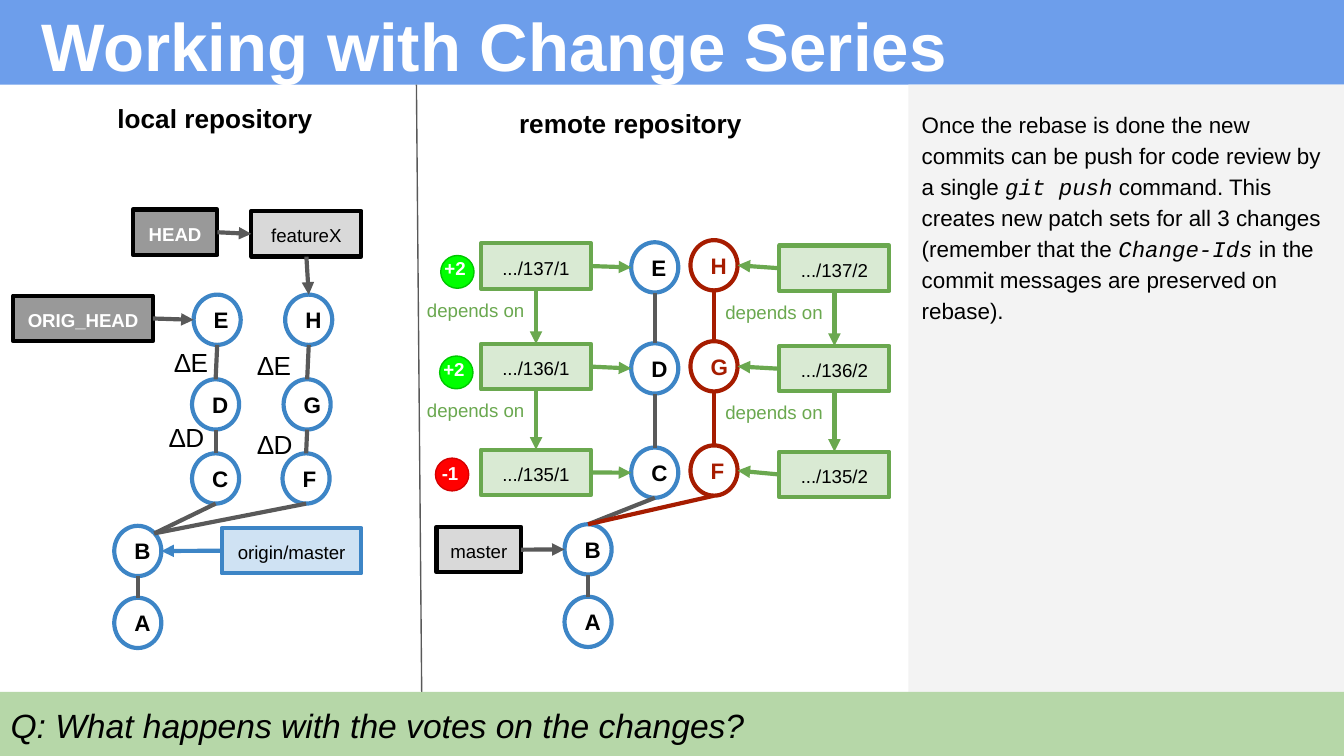
from dataclasses import dataclass

from lxml import etree
from pptx import Presentation
from pptx.dml.color import RGBColor
from pptx.enum import shapes, text
from pptx.oxml.ns import qn
from pptx.util import Cm, Pt


@dataclass(frozen=True)
class Theme:
    font: str = "Arial"
    mono: str = "Courier New"
    white: str = "FFFFFF"
    ink: str = "000000"
    banner: str = "6D9EEB"
    panel: str = "F3F3F3"
    footer: str = "B6D7A8"
    edge: str = "595959"
    blue: str = "3D85C6"
    pale_blue: str = "CFE2F3"
    red: str = "A61C00"
    green: str = "6AA84F"
    pale_green: str = "D9EAD3"
    dark_grey: str = "999999"
    pale_grey: str = "D9D9D9"
    plus: str = "00FF00"
    plus_line: str = "00C700"
    minus: str = "FF0000"
    minus_line: str = "D50000"
    title: float = 36
    question: float = 18
    heading: float = 14
    body: float = 12
    label: float = 10
    stroke: float = 2.25
    thin: float = 0.75


t = Theme()
RECT, OVAL = shapes.MSO_SHAPE.RECTANGLE, shapes.MSO_SHAPE.OVAL
LEFT, CENTER = text.PP_ALIGN.LEFT, text.PP_ALIGN.CENTER
TOP, W, BOTTOM, E = range(4)
NE = 4  # upper right of a circle
SPOTS = [(0.5, 0), (0, 0.5), (0.5, 1), (1, 0.5), (0.85, 0.15)]


def box(parent, kind, at, words="", size=t.label, color=t.ink, bold=False, italic=False,
        align=CENTER, anchor=text.MSO_ANCHOR.TOP, fill=None, line=None, width=t.stroke):
    """Add a preset shape, or a text box when kind is None; at is in centimetres."""
    at = [Cm(v) for v in at]
    if kind is None:
        sp = parent.add_textbox(*at)
    else:
        sp = parent.add_shape(kind, *at)
        sp.shadow.inherit = False
        if fill:
            sp.fill.solid()
            sp.fill.fore_color.rgb = RGBColor.from_string(fill)
        else:
            sp.fill.background()
        if line:
            sp.line.color.rgb = RGBColor.from_string(line)
            sp.line.width = Pt(width)
        else:
            sp.line.fill.background()
    tf = sp.text_frame
    tf.word_wrap = True
    tf.vertical_anchor = anchor
    tf.margin_left = tf.margin_right = tf.margin_top = tf.margin_bottom = Cm(0.25)
    if words:
        p = tf.paragraphs[0]
        p.text = words
        p.alignment = align
        f = p.runs[0].font
        f.name, f.size, f.bold, f.italic = t.font, Pt(size), bold, italic
        f.color.rgb = RGBColor.from_string(color)
    return sp


def link(start, end, color=t.edge, arrow=False, width=t.stroke):
    """Draw a line; each end is (shape, spot) or an (x, y) pair of lengths."""
    points = []
    for a, b in (start, end):
        if hasattr(a, "left"):
            fx, fy = SPOTS[b]
            a, b = int(a.left + fx * a.width), int(a.top + fy * a.height)
        points += [a, b]
    c = s.shapes.add_connector(shapes.MSO_CONNECTOR.STRAIGHT, *points)
    for (a, b), join in ((start, c.begin_connect), (end, c.end_connect)):
        if hasattr(a, "left") and a.auto_shape_type == RECT:
            join(a, b)
    c.line.color.rgb = RGBColor.from_string(color)
    c.line.width = Pt(width)
    if arrow:
        etree.SubElement(c.line._get_or_add_ln(), qn("a:tailEnd"), type="triangle")
    etree.SubElement(c.element.spPr, qn("a:effectLst"))


prs = Presentation()
prs.slide_width, prs.slide_height = Cm(25.4), Cm(14.29)
s = prs.slides.add_slide(prs.slide_layouts[5])

# Banner, title and side panel
box(s.shapes, RECT, (0, 0, 25.4, 1.6), fill=t.banner)
title = s.shapes.title
s.shapes.element.append(title.element)  # bring the title in front of the banner
title.left, title.top, title.width, title.height = Cm(0.53), Cm(-0.25), Cm(20.98), Cm(2.11)
tf = title.text_frame
tf.text = "Working with Change Series"
tf.auto_size = text.MSO_AUTO_SIZE.NONE
tf.vertical_anchor = text.MSO_ANCHOR.BOTTOM
tf.margin_left = tf.margin_right = tf.margin_top = tf.margin_bottom = Cm(0.25)
p = tf.paragraphs[0]
p.alignment = LEFT
f = p.runs[0].font
f.name, f.size, f.bold = t.font, Pt(t.title), True
f.color.rgb = RGBColor.from_string(t.white)
box(s.shapes, RECT, (17.17, 1.6, 8.23, 12.7), fill=t.panel)

# Headings and divider
for words, left, top in (("local repository", 1.45, 1.68), ("remote repository", 9.3, 1.78)):
    box(s.shapes, None, (left, top, 5.23, 1.27), words, t.heading, bold=True)
link((Cm(7.87), Cm(1.6)), (Cm(7.98), Cm(14.29)), width=t.thin)

# Commits: key, left, top, colour; the letter ends the key
commits = {}
for key, left, top, line in (
        ("local A", 2.16, 11.3, t.blue), ("local B", 2.16, 9.94, t.blue),
        ("local C", 3.63, 8.57, t.blue), ("local D", 3.63, 7.17, t.blue),
        ("local E", 3.66, 5.57, t.blue), ("local F", 5.34, 8.57, t.blue),
        ("local G", 5.36, 7.17, t.blue), ("local H", 5.39, 5.57, t.blue),
        ("remote A", 10.67, 11.28, t.blue), ("remote B", 10.67, 9.91, t.blue),
        ("remote C", 11.93, 8.46, t.blue), ("remote D", 11.93, 6.49, t.blue),
        ("remote E", 11.93, 4.58, t.blue), ("remote F", 13.05, 8.42, t.red),
        ("remote G", 13.05, 6.45, t.red), ("remote H", 13.05, 4.54, t.red)):
    commits[key] = box(s.shapes, OVAL, (left, top, 0.89, 0.95), key[-1], t.body,
                       t.red if line == t.red else t.ink, True,
                       anchor=text.MSO_ANCHOR.MIDDLE, line=line)

for repo, fork, new_color in (("local", NE, t.edge), ("remote", TOP, t.red)):
    for parent, child in ("AB", "BC", "CD", "DE", "BF", "FG", "GH"):
        color = new_color if child in "FGH" else t.edge
        spot = fork if parent == "B" else TOP
        link((commits[f"{repo} {parent}"], spot), (commits[f"{repo} {child}"], BOTTOM), color)

for words, left, top in (("∆D", 4.62, 7.85), ("∆E", 4.62, 6.35),
                         ("∆D", 2.95, 7.72), ("∆E", 3.05, 6.3)):
    box(s.shapes, None, (left, top, 1.37, 0.97), words, t.heading, align=LEFT)

# References
refs = {}
for name, left, top, width, fill, line in (
        ("ORIG_HEAD", 0.25, 5.59, 2.64, t.dark_grey, t.ink),
        ("HEAD", 2.51, 3.96, 1.6, t.dark_grey, t.ink),
        ("featureX", 4.75, 3.99, 2.08, t.pale_grey, t.ink),
        ("origin/master", 4.19, 9.98, 2.64, t.pale_blue, t.blue),
        ("master", 8.25, 9.96, 1.6, t.pale_grey, t.ink)):
    head = fill == t.dark_grey
    refs[name] = box(s.shapes, RECT, (left, top, width, 0.86), name,
                     color=t.white if head else t.ink, bold=head, fill=fill, line=line)
link((refs["ORIG_HEAD"], E), (commits["local E"], W), arrow=True)
link((refs["HEAD"], E), (refs["featureX"], W), arrow=True)
link((refs["featureX"], BOTTOM), (commits["local H"], TOP), arrow=True)
link((refs["origin/master"], W), (commits["local B"], E), t.blue, True)
link((refs["master"], E), (commits["remote B"], W), arrow=True)

# Patch sets with their dependencies
for patch, left, shift, label_left, letters, out, into in (
        (1, 9.09, 0, 7.82, "EDC", E, W), (2, 14.73, 0.04, 13.46, "HGF", W, E)):
    above = None
    for change, top, letter in zip((137, 136, 135), (4.6, 6.5, 8.5), letters):
        sp = box(s.shapes, RECT, (left, top + shift, 2.08, 0.86), f".../{change}/{patch}",
                 fill=t.pale_green, line=t.green)
        link((sp, out), (commits[f"remote {letter}"], into), t.green, True)
        if above:
            link((above, BOTTOM), (sp, TOP), t.green, True)
        above = sp
    for top in (5.43, 7.33):
        box(s.shapes, None, (label_left, top + shift, 3.1, 1.12), "depends on",
            color=t.green, align=LEFT)

# Votes
for vote, left, top, label_left, label_top, fill, line in (
        ("+2", 8.33, 4.83, 8.15, 4.65, t.plus, t.plus_line),
        ("+2", 8.31, 6.73, 8.13, 6.55, t.plus, t.plus_line),
        ("-1", 8.23, 8.66, 8.1, 8.51, t.minus, t.minus_line)):
    group = s.shapes.add_group_shape()
    box(group.shapes, OVAL, (left, top, 0.63, 0.62), fill=fill, line=line, width=t.thin)
    box(group.shapes, None, (label_left, label_top, 1.27, 0.8), vote, color=t.white,
        bold=True, align=LEFT)

# Explanation
note = box(s.shapes, None, (17.17, 1.78, 8.08, 11.89))
p = note.text_frame.paragraphs[0]
p.line_spacing = 1.15
p.space_before = p.space_after = Pt(9)
for words, code in (
        ("Once the rebase is done the new commits can be push for code review by a single ", False),
        ("git push", True),
        (" command. This creates new patch sets for all 3 changes (remember that the ", False),
        ("Change-Ids", True),
        (" in the commit messages are preserved on rebase).", False)):
    r = p.add_run()
    r.text = words
    r.font.name, r.font.size, r.font.italic = t.mono if code else t.font, Pt(t.body), code
    r.font.color.rgb = RGBColor.from_string(t.ink)

# Question
box(s.shapes, RECT, (0, 13.08, 25.4, 1.21), fill=t.footer)
box(s.shapes, None, (-0.05, 13.08, 24.89, 1.21),
    "Q: What happens with the votes on the changes?", t.question, italic=True, align=LEFT)

prs.save("out.pptx")
